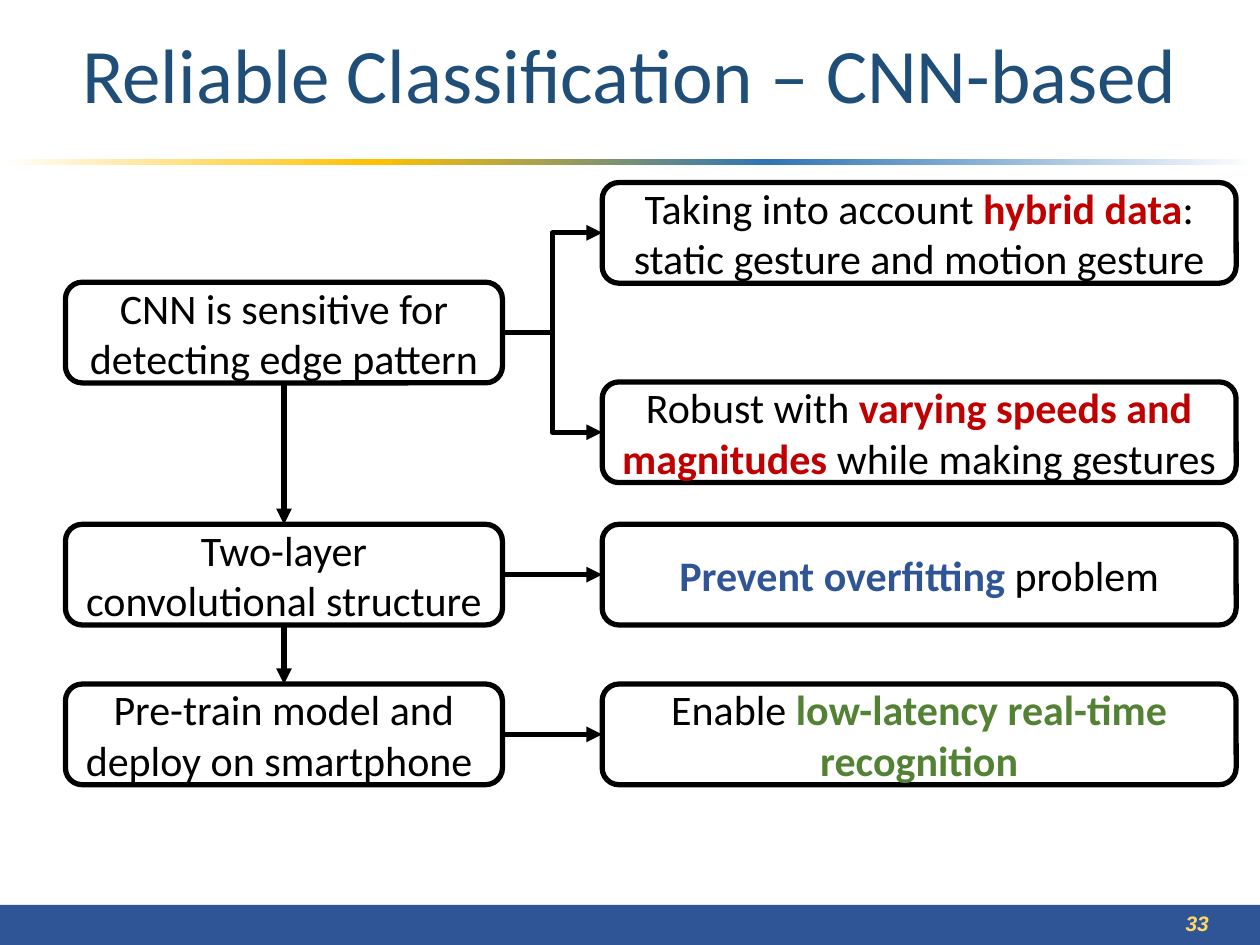
from dataclasses import dataclass

import lxml.etree
import pptx
import pptx.dml.color
import pptx.enum.dml
import pptx.enum.shapes
import pptx.enum.text
import pptx.oxml
import pptx.oxml.ns
import pptx.util
from pptx.util import Cm

TOP, LEFT, BOTTOM, RIGHT = range(4)


@dataclass(frozen=True)
class Theme:
    font: str = "Calibri"
    number_font: str = "Arial"
    ink: str = "000000"
    title: str = "1F4E79"
    blue: str = "2F5597"
    red: str = "C00000"
    green: str = "548235"
    number: str = "FFD966"
    rule: tuple = ((0, "FFFFFF"), (30, "FFC000"), (61, "2E75B6"), (100, "FFFFFF"))
    title_size: int = 44
    body_size: int = 24
    number_size: int = 12
    line_width: int = 3


THEME = Theme()


def rgb(value):
    return pptx.dml.color.RGBColor.from_string(value)


def set_font(font, name, size, color):
    font.name = name
    font.size = pptx.util.Pt(size)
    font.color.rgb = rgb(color)


def add_band(slide, top, width, height):
    band = slide.shapes.add_shape(
        pptx.enum.shapes.MSO_SHAPE.RECTANGLE, 0, top, width, height)
    band.shadow.inherit = False
    band.line.fill.background()
    return band


def add_footer_band(slide):
    footer = add_band(slide, Cm(18.24), Cm(25.4), Cm(0.81))
    footer.fill.solid()
    footer.fill.fore_color.rgb = rgb(THEME.blue)


def add_title_rule(slide):
    rule = add_band(slide, Cm(3.2), Cm(25.32), Cm(0.13))
    rule.fill.gradient()
    rule.fill.gradient_angle = 0
    qn = pptx.oxml.ns.qn
    stops = rule._element.spPr.find(qn("a:gradFill")).find(qn("a:gsLst"))
    for stop in list(stops):
        stops.remove(stop)
    for position, color in THEME.rule:
        stop = lxml.etree.SubElement(stops, qn("a:gs"), pos=str(position * 1000))
        lxml.etree.SubElement(stop, qn("a:srgbClr"), val=color)


def add_label(slide, words, left, top, width, height, font, size, color):
    label = slide.shapes.add_textbox(left, top, width, height)
    label.text_frame.word_wrap = True
    paragraph = label.text_frame.paragraphs[0]
    paragraph.text = words
    set_font(paragraph.font, font, size, color)
    return label.text_frame, paragraph


def add_title(slide, words):
    frame, paragraph = add_label(slide, words, 0, 0, Cm(25.4), Cm(3.18),
                                 THEME.font, THEME.title_size, THEME.title)
    frame.vertical_anchor = pptx.enum.text.MSO_ANCHOR.MIDDLE
    paragraph.alignment = pptx.enum.text.PP_ALIGN.CENTER
    paragraph.line_spacing = 0.9


def add_slide_number(slide, number):
    _, paragraph = add_label(slide, number, Cm(23.65), Cm(18.24), Cm(1.78), Cm(0.76),
                             THEME.number_font, THEME.number_size, THEME.number)
    paragraph.font.bold = True
    paragraph.font.italic = True


def add_box(slide, left, top, width, *parts):
    box = slide.shapes.add_shape(
        pptx.enum.shapes.MSO_SHAPE.ROUNDED_RECTANGLE, left, top, width, Cm(2.03))
    box.shadow.inherit = False
    box.fill.background()
    box.line.color.rgb = rgb(THEME.ink)
    box.line.width = pptx.util.Pt(THEME.line_width)
    box.text_frame.word_wrap = True
    box.text_frame.vertical_anchor = pptx.enum.text.MSO_ANCHOR.MIDDLE
    paragraph = box.text_frame.paragraphs[0]
    paragraph.alignment = pptx.enum.text.PP_ALIGN.CENTER
    set_font(paragraph.font, THEME.font, THEME.body_size, THEME.ink)
    for words, color in parts:
        run = paragraph.add_run()
        run.text = words
        set_font(run.font, THEME.font, THEME.body_size, color)
        run.font.bold = color != THEME.ink
    return box


def add_step(slide, top, words):
    return add_box(slide, Cm(1.32), top, Cm(8.81), (words, THEME.ink))


def add_benefit(slide, top, *parts):
    return add_box(slide, Cm(12.14), top, Cm(12.78), *parts)


def site_point(box, site):
    middle = box.left + box.width // 2, box.top + box.height // 2
    return {
        TOP: (middle[0], box.top),
        LEFT: (box.left, middle[1]),
        BOTTOM: (middle[0], box.top + box.height),
        RIGHT: (box.left + box.width, middle[1]),
    }[site]


def add_arrow(slide, source, source_site, target, target_site, bent=False):
    kinds = pptx.enum.shapes.MSO_CONNECTOR
    arrow = slide.shapes.add_connector(
        kinds.ELBOW if bent else kinds.STRAIGHT,
        *site_point(source, source_site), *site_point(target, target_site))
    arrow.begin_connect(source, source_site)
    arrow.end_connect(target, target_site)
    arrow.line.color.rgb = rgb(THEME.ink)
    arrow.line.width = pptx.util.Pt(THEME.line_width)
    qn = pptx.oxml.ns.qn
    properties = arrow._element.spPr
    lxml.etree.SubElement(properties.find(qn("a:ln")), qn("a:tailEnd"), type="triangle")
    lxml.etree.SubElement(properties, qn("a:effectLst"))


def main():
    deck = pptx.Presentation()
    deck.slide_width, deck.slide_height = Cm(25.4), Cm(19.05)
    slide = deck.slides.add_slide(deck.slide_layouts[6])

    add_footer_band(slide)
    add_title_rule(slide)
    add_slide_number(slide, "33")
    add_title(slide, "Reliable Classification – CNN-based")

    structure_top, deploy_top = Cm(10.57), Cm(13.79)
    sensitivity = add_step(slide, Cm(5.69), "CNN is sensitive for detecting edge pattern")
    structure = add_step(slide, structure_top, "Two-layer convolutional structure")
    deployment = add_step(slide, deploy_top, "Pre-train model and deploy on smartphone ")

    hybrid = add_benefit(
        slide, Cm(3.68), ("Taking into account ", THEME.ink), ("hybrid data", THEME.red),
        (": static gesture and motion gesture", THEME.ink))
    robust = add_benefit(
        slide, Cm(7.7), ("Robust with ", THEME.ink),
        ("varying speeds and magnitudes ", THEME.red),
        ("while making gestures", THEME.ink))
    overfitting = add_benefit(
        slide, structure_top, ("Prevent overfitting ", THEME.blue), ("problem", THEME.ink))
    latency = add_benefit(
        slide, deploy_top, ("Enable ", THEME.ink),
        ("low-latency real-time recognition", THEME.green))

    for benefit in (hybrid, robust):
        add_arrow(slide, sensitivity, RIGHT, benefit, LEFT, bent=True)
    for step, benefit in ((structure, overfitting), (deployment, latency)):
        add_arrow(slide, step, RIGHT, benefit, LEFT)
    for step, following in ((sensitivity, structure), (structure, deployment)):
        add_arrow(slide, step, BOTTOM, following, TOP)

    deck.save("out.pptx")


if __name__ == "__main__":
    main()
